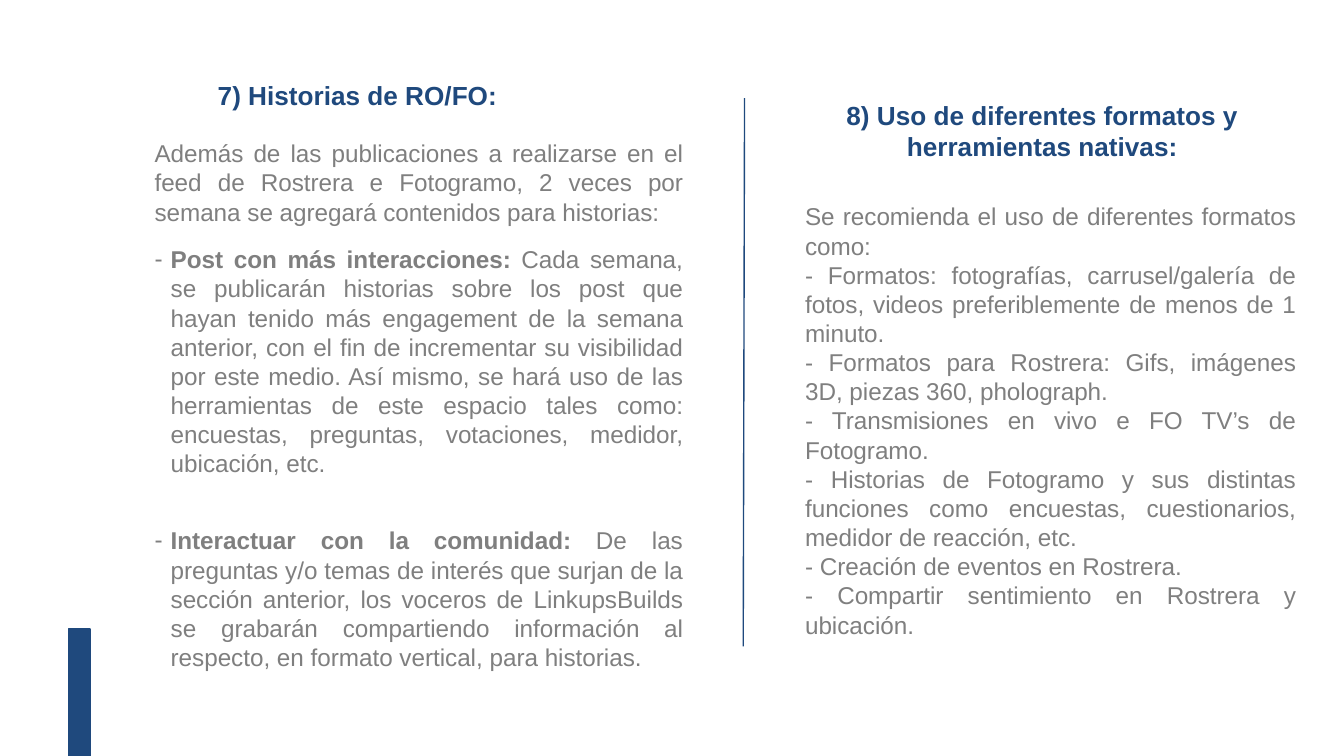
from lxml.etree import SubElement
from pptx import Presentation
from pptx.dml.color import RGBColor
from pptx.enum.shapes import MSO_CONNECTOR, MSO_SHAPE
from pptx.enum.text import MSO_ANCHOR, MSO_AUTO_SIZE, PP_ALIGN
from pptx.oxml.ns import qn
from pptx.util import Inches, Pt

COLORS = {"navy": "1F497D", "gray": "7F7F7F"}
FONT = "Arial"
SLIDE_SIZE = (10, 5.625)
HEADING = {"size": 14, "color": "navy", "bold": True, "indent": 0.1}
BODY = {"size": 13, "color": "gray", "align": PP_ALIGN.JUSTIFY}
DASHED = {**BODY, "indent": 0.12, "dash": True}

STORIES = [
    ([("Además de las publicaciones a realizarse en el feed de Rostrera e Fotogramo, "
       "2 veces por semana se agregará contenidos para historias:", False)], BODY),
    ([("Post con más interacciones: ", True),
      ("Cada semana, se publicarán historias sobre los post que hayan tenido más "
       "engagement de la semana anterior, con el fin de incrementar su visibilidad por "
       "este medio. Así mismo, se hará uso de las herramientas de este espacio tales como: "
       "encuestas, preguntas, votaciones, medidor, ubicación, etc.", False)],
     {**DASHED, "before": 10}),
    ([("Interactuar con la comunidad: ", True),
      ("De las preguntas y/o temas de interés que surjan de la sección anterior, los "
       "voceros de LinkupsBuilds se grabarán compartiendo información al respecto, en "
       "formato vertical, para historias.", False)],
     {**DASHED, "before": 25.6}),
]
FORMATS = [
    "Se recomienda el uso de diferentes formatos como:",
    "- Formatos: fotografías, carrusel/galería de fotos, videos preferiblemente de menos "
    "de 1 minuto.",
    "- Formatos para Rostrera: Gifs, imágenes 3D, piezas 360, pholograph.",
    "- Transmisiones en vivo e FO TV’s de Fotogramo.",
    "- Historias de Fotogramo y sus distintas funciones como encuestas, cuestionarios, "
    "medidor de reacción, etc.",
    "- Creación de eventos en Rostrera.",
    "- Compartir sentimiento en Rostrera y ubicación.",
]
BLOCKS = {
    0: ((1.42, 0.49, 3, 0.44), [([("7) Historias de RO/FO:", True)], HEADING)]),
    2: ((1.05, 0.93, 4.13, 4.42), STORIES),
    3: ((5.64, 0.64, 4.13, 0.67),
        [([("8) Uso de diferentes formatos y herramientas nativas:", True)],
         {**HEADING, "align": PP_ALIGN.CENTER})]),
    4: ((5.89, 1.4, 3.85, 3.48), [([(text, False)], BODY) for text in FORMATS]),
}
BAR = (0.51, 4.68, 0.16, 0.96)
DIVIDER = (5.54, 0.73, 5.53, 4.81)


def rgb(name):
    return RGBColor.from_string(COLORS[name])


def add_paragraph(p, runs, style):
    p.alignment = style.get("align", PP_ALIGN.LEFT)
    p.line_spacing = 1.0
    p.space_before = Pt(style.get("before", 0))
    p.space_after = Pt(0)
    indent = Inches(style.get("indent", 0))
    dash = style.get("dash", False)
    pPr = p._p.get_or_add_pPr()
    pPr.set("marL", str(indent))
    pPr.set("indent", str(-indent if dash else 0))
    if dash:
        clr = SubElement(pPr, qn("a:buClr"))
        SubElement(clr, qn("a:srgbClr"), val=COLORS[style["color"]])
        SubElement(pPr, qn("a:buFont"), typeface=FONT)
        SubElement(pPr, qn("a:buChar"), char="-")
    else:
        SubElement(pPr, qn("a:buNone"))
    for text, bold in runs:
        r = p.add_run()
        r.text = text
        r.font.name = FONT
        r.font.size = Pt(style["size"])
        r.font.bold = bold
        r.font.color.rgb = rgb(style["color"])


def fill_placeholder(sp, box, paragraphs):
    sp.left, sp.top, sp.width, sp.height = map(Inches, box)
    tf = sp.text_frame
    tf.word_wrap = True
    tf.auto_size = MSO_AUTO_SIZE.NONE
    tf.vertical_anchor = MSO_ANCHOR.TOP
    tf.margin_left = tf.margin_right = tf.margin_top = tf.margin_bottom = Inches(0.1)
    for i, (runs, style) in enumerate(paragraphs):
        add_paragraph(tf.add_paragraph() if i else tf.paragraphs[0], runs, style)


def main():
    """Build the slide on social media stories and formats."""
    prs = Presentation()
    prs.slide_width, prs.slide_height = map(Inches, SLIDE_SIZE)
    s = prs.slides.add_slide(prs.slide_layouts[4])

    for sp in list(s.placeholders):
        idx = sp.placeholder_format.idx
        if idx in BLOCKS:
            fill_placeholder(sp, *BLOCKS[idx])
        else:
            sp._element.getparent().remove(sp._element)

    bar = s.shapes.add_shape(MSO_SHAPE.RECTANGLE, *map(Inches, BAR))
    bar.shadow.inherit = False
    bar.fill.solid()
    bar.fill.fore_color.rgb = rgb("navy")

    divider = s.shapes.add_connector(MSO_CONNECTOR.STRAIGHT, *map(Inches, DIVIDER))
    for sp in (bar, divider):
        sp.line.color.rgb = rgb("navy")
        sp.line.width = Pt(0.75)
    SubElement(divider._element.spPr, qn("a:effectLst"))

    prs.save("out.pptx")


if __name__ == "__main__":
    main()
